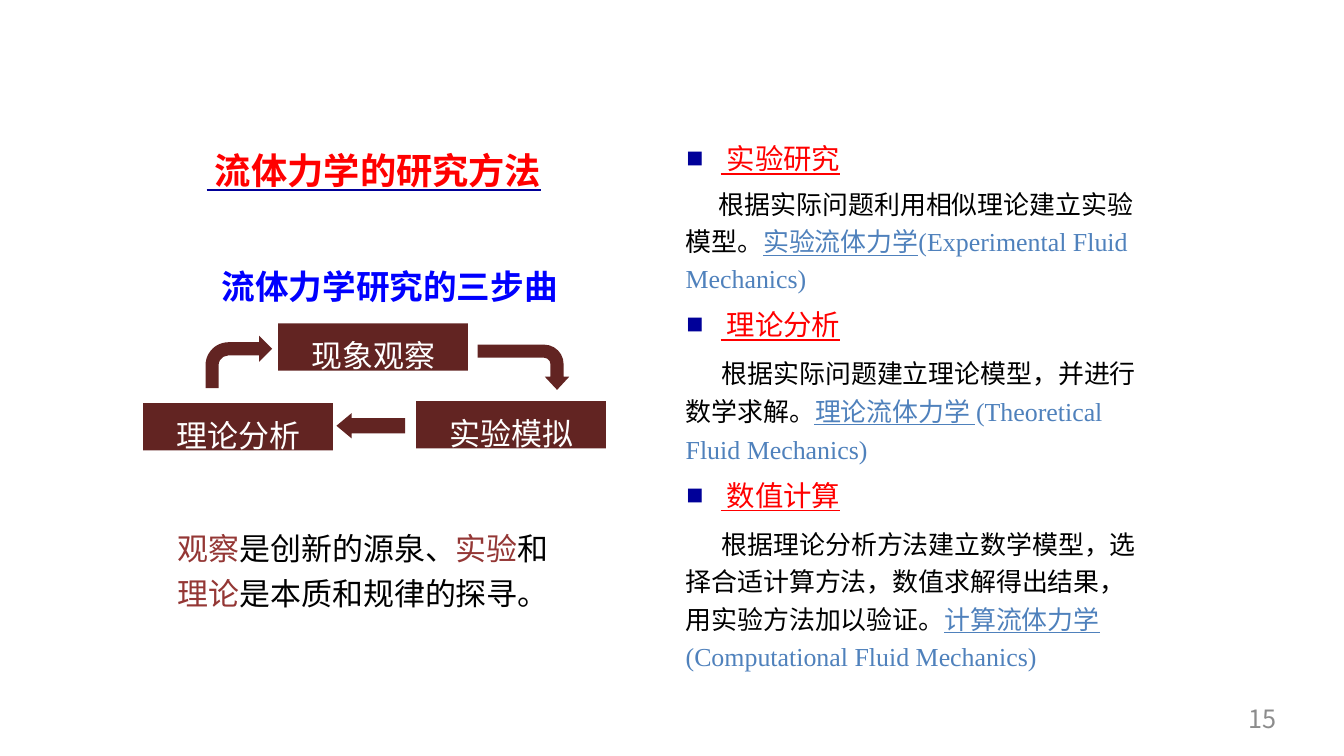
"""Build the slide on research methods in fluid mechanics."""
from dataclasses import dataclass

from lxml.etree import SubElement as Sub
from pptx import Presentation
from pptx.dml.color import RGBColor
from pptx.enum.shapes import MSO_CONNECTOR as Link, MSO_SHAPE as Kind
from pptx.enum.text import MSO_ANCHOR as Anchor, PP_ALIGN as Align
from pptx.oxml.ns import qn
from pptx.util import Cm, Pt

SANS, SERIF, PLAIN = "Noto Sans CJK SC", "Times New Roman", "Calibri"
RED, BLACK, STEEL, BROWN, RUST = "FF0000", "000000", "4F81BC", "622422", "943735"
NAVY = "000099"


@dataclass
class Run:
    text: str
    size: float
    color: str
    face: str = PLAIN
    bold: bool = False
    under: str = ""
    gap: float = 0


@dataclass
class Para:
    runs: list[Run]
    left: float = 0.03
    first: float = 0
    before: float = 0
    mark: str = ""
    align: Align = Align.LEFT
    lead: float = 1.2


@dataclass
class Box:
    x: float
    y: float
    w: float
    h: float


@dataclass
class Arrow:
    kind: Kind
    box: Box
    turn: float
    bends: list[float]


@dataclass
class Topic:
    name: str
    text: str
    field: str
    first: float
    before: float
    drop: float
    lead: float
    line: tuple[float, float, float]


TOPICS = [
    Topic("实验研究", "根据实际问题利用相似理论建立实验模型。",
          "实验流体力学(Experimental Fluid Mechanics)",
          0.84, 0, 4.7, 1.2, (19.23, 6.43, 3.91)),
    Topic("理论分析", "根据实际问题建立理论模型，并进行数学求解。",
          "理论流体力学 (Theoretical Fluid Mechanics)",
          0.91, 9.4, 6.8, 1.22, (20.52, 10.69, 4.06)),
    Topic("数值计算", "根据理论分析方法建立数学模型，选择合适计算方法，数值求解得出结果，用实验方法加以验证。",
          "计算流体力学 (Computational Fluid Mechanics)",
          0.91, 9.5, 7, 1.21, (23.8, 15.93, 3.91)),
]
STEPS = [("现象观察", 7.01, 8.15), ("理论分析", 3.61, 10.16), ("实验模拟", 10.49, 10.11)]
ARROWS = [
    Arrow(Kind.BENT_ARROW, Box(5.18, 8.46, 1.68, 1.32), 0, [0.25, 0.25, 0.25, 0.44]),
    Arrow(Kind.BENT_ARROW, Box(12.62, 8.1, 1.14, 2.31), 90, [0.29, 0.27, 0.29, 0.43]),
    Arrow(Kind.LEFT_ARROW, Box(8.48, 10.41, 1.73, 0.64), 0, [0.6, 0.6]),
]


def paint(color: str) -> RGBColor:
    """Turn a hex string into a colour."""
    return RGBColor.from_string(color)


def add_run(par, run: Run) -> None:
    """Add one styled run to a paragraph."""
    item = par.add_run()
    item.text = run.text
    font = item.font
    font.size, font.bold = Pt(run.size), run.bold
    font.color.rgb = paint(run.color)
    props = item._r.get_or_add_rPr()
    if run.under:
        font.underline = True
        fill = Sub(Sub(props, qn("a:uFill")), qn("a:solidFill"))
        Sub(fill, qn("a:srgbClr")).set("val", run.under)
    font.name = run.face
    Sub(props, qn("a:ea")).set("typeface", SANS)
    if run.gap:
        props.set("spc", str(round(run.gap * 100)))


def fill_text(frame, paras: list[Para], pads: tuple[float, float] = (0, 0)) -> None:
    """Write paragraphs into a frame with side and top insets."""
    side, top = (Cm(pad) for pad in pads)
    frame.margin_left = frame.margin_right = side
    frame.margin_top, frame.margin_bottom = top, 0
    frame.word_wrap = True
    frame.vertical_anchor = Anchor.TOP
    for spot, para in enumerate(paras):
        par = frame.add_paragraph() if spot else frame.paragraphs[0]
        par.alignment, par.line_spacing = para.align, para.lead
        if para.before:
            par.space_before = Pt(para.before)
        props = par._p.get_or_add_pPr()
        props.set("marL", str(Cm(para.left)))
        props.set("indent", str(Cm(para.first)))
        if para.mark:
            Sub(Sub(props, qn("a:buClr")), qn("a:srgbClr")).set("val", NAVY)
            Sub(props, qn("a:buSzPct")).set("val", "100000")
            Sub(props, qn("a:buFont")).set("typeface", SERIF)
            Sub(props, qn("a:buChar")).set("char", para.mark)
        for run in para.runs:
            add_run(par, run)


def add_text(slide, box: Box, paras: list[Para], pads: tuple[float, float] = (0, 0)) -> None:
    """Add a text box."""
    item = slide.shapes.add_textbox(Cm(box.x), Cm(box.y), Cm(box.w), Cm(box.h))
    fill_text(item.text_frame, paras, pads)


def add_solid(slide, kind: Kind, box: Box):
    """Add a brown shape without an outline."""
    item = slide.shapes.add_shape(kind, Cm(box.x), Cm(box.y), Cm(box.w), Cm(box.h))
    item.shadow.inherit = False
    item.fill.solid()
    item.fill.fore_color.rgb = paint(BROWN)
    item.line.fill.background()
    return item


def add_line(slide, x: float, y: float, w: float) -> None:
    """Add a thin level line."""
    item = slide.shapes.add_connector(Link.STRAIGHT, Cm(x), Cm(y), Cm(x + w), Cm(y))
    item.line.color.rgb = paint(STEEL)
    item.line.width = Pt(0.36)
    Sub(item._element.spPr, qn("a:effectLst"))


def main() -> None:
    """Draw the slide and save it."""
    deck = Presentation()
    deck.slide_width, deck.slide_height = Cm(33.87), Cm(19.05)
    slide = deck.slides.add_slide(deck.slide_layouts[6])

    add_text(slide, Box(5.18, 3.71, 9.53, 2.34), [Para([
        Run(" ", 25.9, RED, SANS, True, NAVY, -6.5),
        Run("流体力学", 25.9, RED, SANS, True, NAVY),
        Run("的研究方法", 25.9, RED, SANS, True, NAVY, -0.1)], lead=1)], (0, 0.03))

    body = []
    for topic in TOPICS:
        add_line(slide, *topic.line)
        head = [Run(" ", 20.3, RED, SANS, under=RED, gap=-5.1),
                Run(topic.name, 20.3, RED, SERIF, under=RED, gap=-0.1)]
        body.append(Para(head, 0.91, -0.86, topic.before, "■", lead=1))
        runs = [Run(topic.text, 18.5, BLACK, SERIF), Run(topic.field, 18.5, STEEL, SERIF)]
        body.append(Para(runs, first=topic.first, before=topic.drop, lead=topic.lead))
    add_text(slide, Box(17.25, 3.18, 11.4, 13.87), body, (0, 0.38))

    for name, x, y in STEPS:
        step = add_solid(slide, Kind.RECTANGLE, Box(x, y, 4.78, 1.19))
        fill_text(step.text_frame, [Para([Run(name, 22.1, "FFFFFF")], 0.84)], (0, 0.15))
    for arrow in ARROWS:
        item = add_solid(slide, arrow.kind, arrow.box)
        item.rotation = arrow.turn
        for spot, bend in enumerate(arrow.bends):
            item.adjustments[spot] = bend

    note = [("观察", RUST), ("是创新的源泉、", BLACK), ("实验", RUST),
            ("和", BLACK), ("理论", RUST), ("是本质和规律的探寻。", BLACK)]
    add_text(slide, Box(4.45, 13.13, 9.45, 2.21),
             [Para([Run(text, 22.1, color) for text, color in note])], (0, 0.03))
    add_text(slide, Box(3.66, 6.38, 16.94, 1.4),
             [Para([Run("流体力学研究的三步曲", 24, "0000FF", bold=True)], 1.68)], (0.25, 0.13))
    add_text(slide, Box(24.38, 17.73, 7.8, 0.76),
             [Para([Run("15", 18, "8C8C8C", SANS)], 0, align=Align.RIGHT, lead=1)])
    deck.save("out.pptx")


if __name__ == "__main__":
    main()
